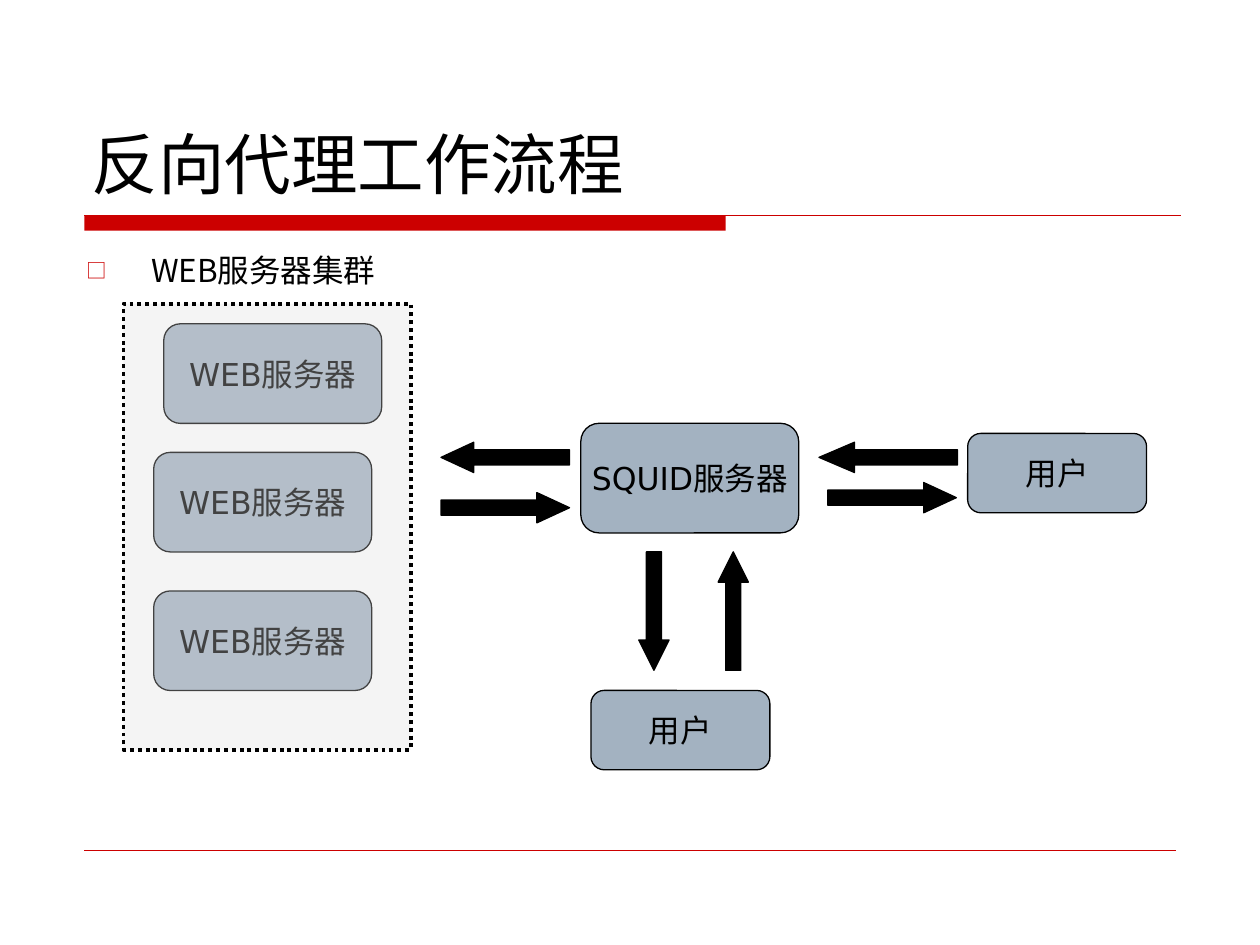
from lxml.etree import SubElement
from pptx import Presentation
from pptx.dml.color import RGBColor
from pptx.enum.dml import MSO_LINE
from pptx.enum.shapes import MSO_CONNECTOR, MSO_SHAPE
from pptx.enum.text import MSO_ANCHOR, PP_ALIGN
from pptx.oxml.ns import qn
from pptx.util import Inches, Pt

tint = {"red": "CC0000", "blue": "A3B2C1", "gray": "DDDDDD", "black": "000000"}
sans, noto = "DejaVu Sans", "Noto Sans CJK SC"

deck = Presentation()
deck.slide_width, deck.slide_height = Inches(10), Inches(7.5)
slide = deck.slides.add_slide(deck.slide_layouts[6])


def draw(kind, spot, fill, edge="black", width=0.75):
    shape = slide.shapes.add_shape(kind, *map(Inches, spot))
    shape.shadow.inherit = False
    shape.fill.solid()
    shape.fill.fore_color.rgb = RGBColor.from_string(tint[fill])
    shape.line.color.rgb = RGBColor.from_string(tint[edge])
    shape.line.width = Pt(width)
    return shape


def write(shape, text, size, face, form):
    frame = shape.text_frame
    for key, val in form.items():
        setattr(frame, key, val)
    run = frame.paragraphs[0].add_run()
    run.text = text
    for key, val in {"size": Pt(size), "name": face}.items():
        setattr(run.font, key, val)
    run.font.color.rgb = RGBColor.from_string(tint["black"])
    SubElement(run._r.get_or_add_rPr(), qn("a:ea"), typeface=noto)
    return frame.paragraphs[0]


bar = draw(MSO_SHAPE.RECTANGLE, (0.67, 1.71, 5.09, 0.12), "red")
bar.line.fill.background()

for right, top, width in [(9.37, 1.71, 0.75), (9.33, 6.75, 0.25)]:
    rule = slide.shapes.add_connector(
        MSO_CONNECTOR.STRAIGHT, Inches(0.67), Inches(top), Inches(right), Inches(top))
    rule.line.color.rgb = RGBColor.from_string(tint["red"])
    rule.line.width = Pt(width)
    SubElement(rule._element.spPr, qn("a:effectLst"))

title = slide.shapes.add_textbox(*map(Inches, (0.63, 0.33, 8.75, 1.33)))
write(title, "反向代理工作流程", 38, sans,
      {"word_wrap": True, "vertical_anchor": MSO_ANCHOR.BOTTOM})

body = slide.shapes.add_textbox(*map(Inches, (0.59, 1.94, 8.75, 4.67)))
para = write(body, "WEB服务器集群", 18, noto,
             {"word_wrap": True, "vertical_anchor": MSO_ANCHOR.TOP})
props = para._p.get_or_add_pPr()
props.set("marL", str(Inches(0.51)))
props.set("indent", str(Inches(-0.51)))
SubElement(SubElement(props, qn("a:buClr")), qn("a:srgbClr"), val=tint["red"])
SubElement(props, qn("a:buSzPct"), val="65000")
SubElement(props, qn("a:buFont"), typeface=noto)
SubElement(props, qn("a:buChar"), char="□")

nodes = [
    ("WEB服务器", 1.3, 2.57, 1.73, 0.79),
    ("WEB服务器", 1.22, 3.59, 1.73, 0.79),
    ("WEB服务器", 1.22, 4.69, 1.73, 0.79),
    ("SQUID服务器", 4.61, 3.36, 1.73, 0.87),
    ("用户", 7.68, 3.44, 1.42, 0.63),
    ("用户", 4.69, 5.48, 1.42, 0.63),
]
for order, (text, *spot) in enumerate(nodes):
    if order == 3:
        group = draw(MSO_SHAPE.RECTANGLE, (0.98, 2.41, 2.28, 3.54), "gray", width=2.25)
        group.line.dash_style = MSO_LINE.ROUND_DOT
        shade = group._element.spPr.find(qn("a:solidFill"))[0]
        SubElement(shade, qn("a:alpha"), val="30000")
    node = draw(MSO_SHAPE.FLOWCHART_ALTERNATE_PROCESS, spot, "blue")
    para = write(node, text, 18, sans,
                 {"word_wrap": False, "vertical_anchor": MSO_ANCHOR.MIDDLE})
    para.alignment = PP_ALIGN.CENTER

arrows = [
    (6.5, 3.51, 1.1, 180, 1.17),
    (3.5, 3.51, 1.02, 180, 1.08),
    (3.5, 3.91, 1.02, 0, 1.08),
    (6.57, 3.83, 1.02, 0, 1.08),
    (5.35, 4.73, 0.94, 270, 1),
    (4.72, 4.73, 0.94, 90, 1),
]
for left, top, width, turn, head in arrows:
    arrow = draw(MSO_SHAPE.RIGHT_ARROW, (left, top, width, 0.24), "black")
    arrow.rotation = turn
    arrow.adjustments[0] = 0.5
    arrow.adjustments[1] = head

deck.save("out.pptx")
